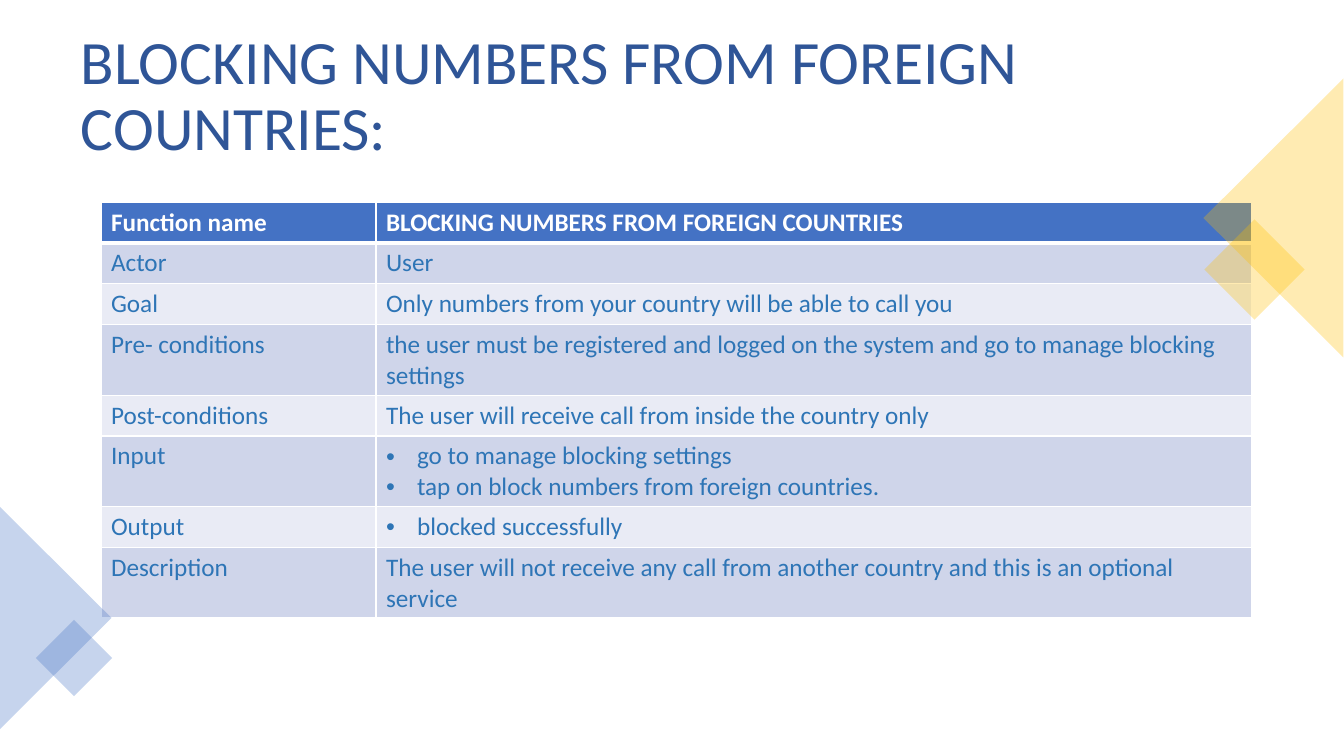
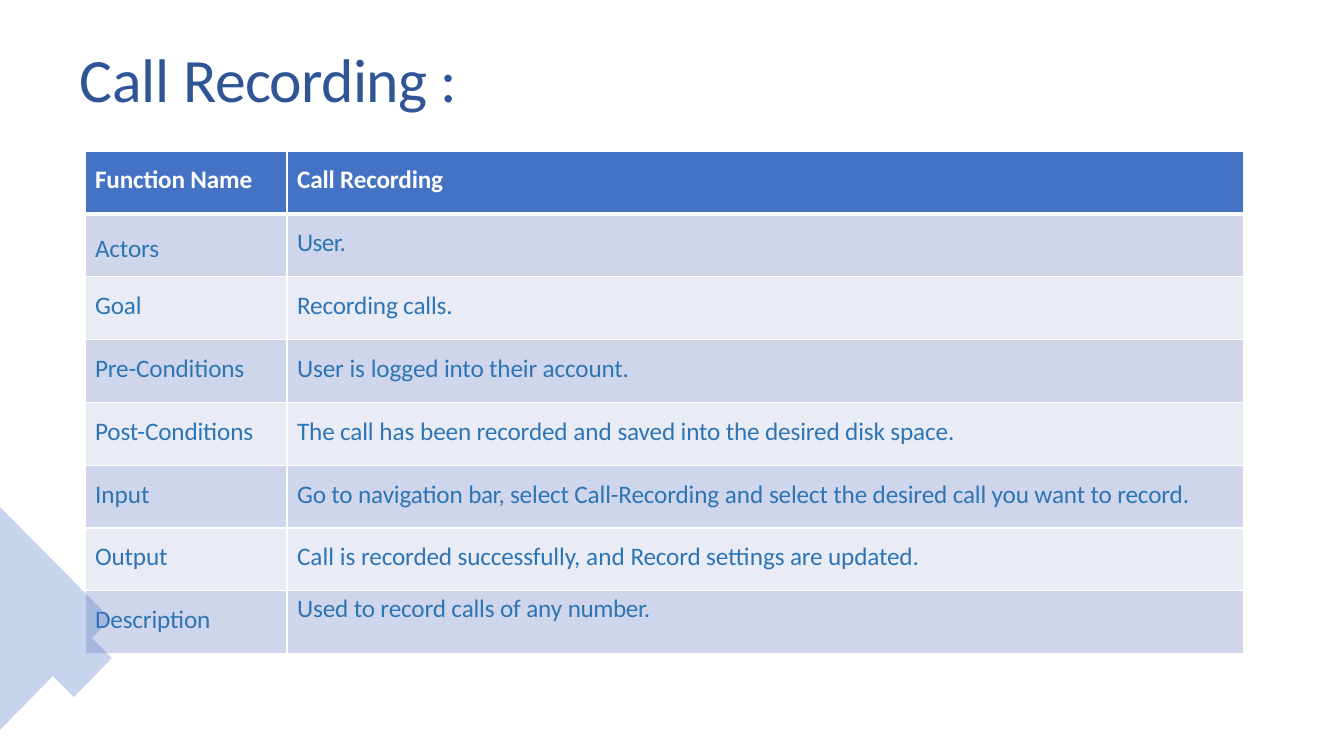
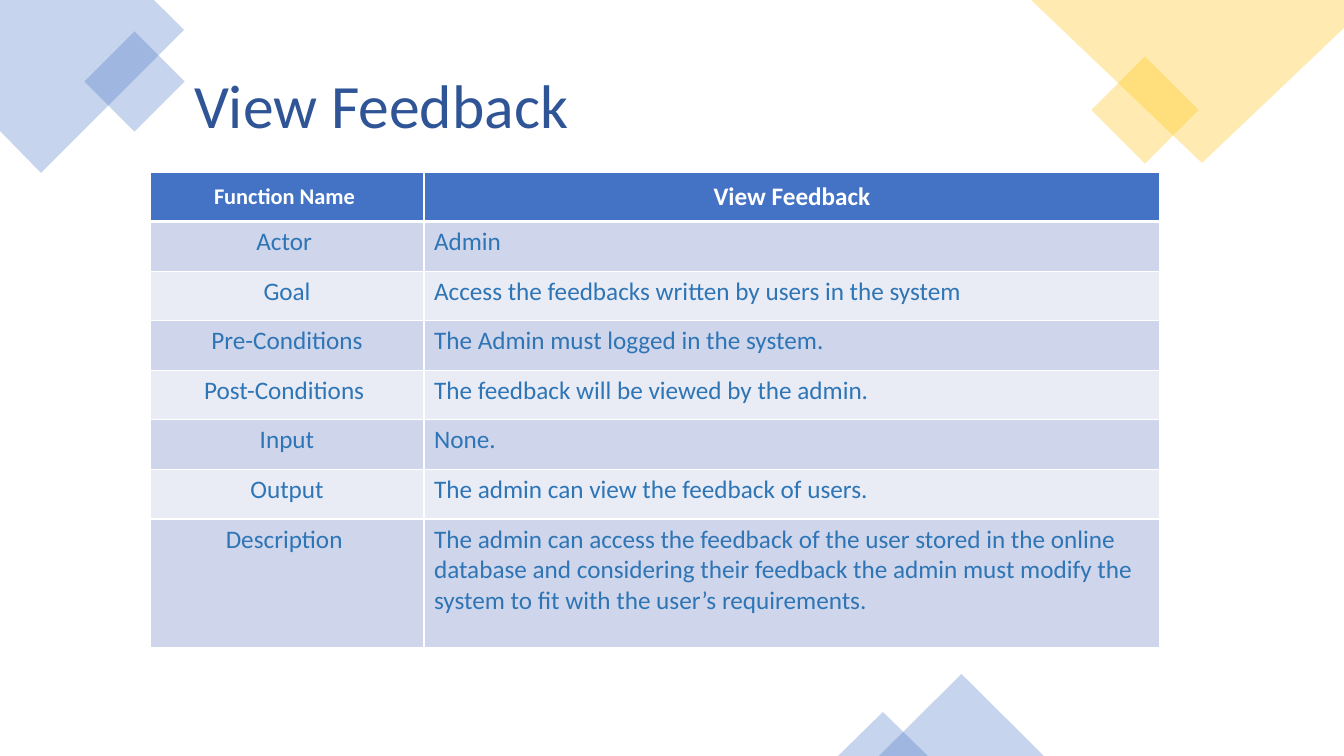
from lxml import etree
from pptx import Presentation
from pptx.dml.color import RGBColor
from pptx.enum.shapes import MSO_SHAPE
from pptx.enum.text import MSO_ANCHOR, PP_ALIGN
from pptx.oxml.ns import qn
from pptx.util import Emu, Pt

PX = 914400 / 100.8
FONT = "Calibri"
TITLE_SIZE = 44
BODY_SIZE = 18
BULLET_INDENT = 31
COLOURS = {
    "title": "2F5597", "body": "2E75B6", "white": "FFFFFF",
    "blue": "4472C4", "gold": "FFC000", "dark band": "CFD5EA", "light band": "E9EBF5",
}
PRESETS = {"square": MSO_SHAPE.RECTANGLE, "triangle": MSO_SHAPE.ISOSCELES_TRIANGLE}

SLIDES = [
    {
        "title": ["BLOCKING NUMBERS FROM FOREIGN COUNTRIES:"],
        "title box": (71, 35, 1203, 125),
        "title margins": (10, 5),
        "title anchor": MSO_ANCHOR.MIDDLE,
        "line spacing": 0.9,
        "table at": (101, 202), "columns": (275, 876), "first rows": 286, "last row": 41,
        "rows": [
            ("Function name", "BLOCKING NUMBERS FROM FOREIGN COUNTRIES"),
            ("Actor", "User"),
            ("Goal", "Only numbers from your country will be able to call you"),
            ("Pre- conditions", "the user must be registered and logged on the system and go to manage blocking settings"),
            ("Post-conditions", "The user will receive call from inside the country only"),
            ("Input", ("go to manage blocking settings", "tap on block numbers from foreign countries.")),
            ("Output", ("blocked successfully",)),
            ("Description", "The user will not receive any call from another country and this is an optional service"),
        ],
        "shapes": [
            ("square", "gold", (1219, 234, 71, 71), 45),
            ("triangle", "gold", (1134, 148, 279, 140), 270),
            ("triangle", "blue", (-56, 562, 223, 112), 90),
            ("square", "blue", (47, 631, 54, 54), 45),
        ],
    },
    {
        "title": [("Call ", -0.2), ("Recording ", -0.5), ":"],
        "title box": (80, 39, 544, 76),
        "title margins": (0, 1),
        "title anchor": MSO_ANCHOR.MIDDLE,
        "table at": (85, 151), "columns": (202, 957), "first rows": 440, "last row": 63,
        "top margin": 14, "top margins": {(1, 0): 20, (7, 1): 3}, "spacing": -0.1,
        "rows": [
            ("Function Name", "Call Recording"),
            ("Actors", [("User.", -0.4)]),
            ("Goal", "Recording calls."),
            ("Pre-Conditions", ["User ", ("is ", 0), "logged into their account."]),
            ("Post-Conditions", ["The call ", ("has ", 0), "been recorded ", ("and ", 0),
                                 "saved into the desired disk space."]),
            ([("Input", 0)], ["Go to navigation ", ("bar, ", -0.4), "select Call-Recording ", ("and ", 0),
                              "select the desired call you want to record."]),
            ("Output", [("Call is ", 0), "recorded successfully,", (" and ", 0), "Record settings are updated."]),
            ("Description", ["Used to record calls of any ", ("number.", -0.3)]),
        ],
        "outlines": [
            ("blue", [(111, 619), (0, 507), (0, 730), (53, 676), (74, 697), (112, 658), (92, 638)]),
        ],
    },
    {
        "title": ["View Feedback"],
        "title box": (184, 62, 672, 85),
        "title margins": (10, 5),
        "title anchor": MSO_ANCHOR.TOP,
        "table at": (150, 172), "columns": (274, 736), "first rows": 347, "last row": 129,
        "centred": True, "label size": 16,
        "rows": [
            ("Function Name ", "View Feedback"),
            ("Actor ", "Admin"),
            ("Goal", "Access the feedbacks written by users in the system"),
            ("Pre-Conditions", "The Admin must logged in the system."),
            ("Post-Conditions ", "The feedback will be viewed by the admin."),
            ("Input", "None."),
            ("Output", "The admin can view the feedback of users."),
            ("Description ", "The admin can access the feedback of the user stored in the online database and "
                             "considering their feedback the admin must modify the system to fit with the "
                             "user’s requirements. "),
        ],
        "shapes": [
            ("square", "blue", (99, 46, 71, 71), 45),
            ("square", "gold", (1107, 72, 76, 76), 45),
            ("triangle", "blue", (879, 674, 165, 82), 0),
            ("triangle", "blue", (838, 712, 90, 44), 0),
        ],
        "outlines": [
            ("blue", [(154, 0), (0, 0), (0, 131), (41, 173), (184, 30)]),
            ("gold", [(1344, 0), (1031, 0), (1202, 163), (1344, 28)]),
        ],
    },
]


def px(length):
    return Emu(round(length * PX))


def rgb(name):
    return RGBColor.from_string(COLOURS[name])


def add_runs(para, runs, size, colour, bold=False, spacing=0):
    for run in runs:
        text, gap = (run, spacing) if isinstance(run, str) else run
        span = para.add_run()
        span.text = text
        span.font.name = FONT
        span.font.size = Pt(size)
        span.font.bold = bold
        span.font.color.rgb = rgb(colour)
        if gap:
            span.font._element.set("spc", str(round(gap * 100)))


def add_title(page, content):
    box = page.shapes.add_textbox(*map(px, content["title box"]))
    frame = box.text_frame
    frame.word_wrap = True
    frame.vertical_anchor = content["title anchor"]
    side, top = content["title margins"]
    frame.margin_left = frame.margin_right = px(side)
    frame.margin_top = px(top)
    frame.margin_bottom = px(top if side else 0)
    para = frame.paragraphs[0]
    para.line_spacing = content.get("line spacing")
    add_runs(para, content["title"], TITLE_SIZE, "title")


def set_borders(cell, row):
    properties = cell._tc.get_or_add_tcPr()
    widths = {"lnL": 1, "lnR": 1, "lnT": 3 if row == 1 else 1, "lnB": 3 if row == 0 else 1}
    for side, width in widths.items():
        line = etree.SubElement(properties, qn("a:" + side), w=str(Pt(width)))
        fill = etree.SubElement(line, qn("a:solidFill"))
        etree.SubElement(fill, qn("a:srgbClr"), val=COLOURS["white"])


def add_bullet(para):
    properties = para._p.get_or_add_pPr()
    properties.set("marL", str(px(BULLET_INDENT)))
    properties.set("indent", str(-px(BULLET_INDENT)))
    etree.SubElement(properties, qn("a:buFont"), typeface="Arial")
    etree.SubElement(properties, qn("a:buChar"), char="•")


def fill_cell(cell, value, row, column, content):
    header = row == 0
    set_borders(cell, row)
    cell.fill.solid()
    cell.fill.fore_color.rgb = rgb("blue" if header else "dark band" if row % 2 else "light band")
    if "top margin" in content:
        cell.margin_top = px(content["top margins"].get((row, column), content["top margin"]))
        cell.margin_bottom = 0
    centred = content.get("centred", False)
    if centred and header:
        cell.vertical_anchor = MSO_ANCHOR.MIDDLE
    size = content.get("label size", BODY_SIZE) if header and column == 0 else BODY_SIZE
    bulleted = isinstance(value, tuple)
    lines = [[line] for line in value] if bulleted else [[value] if isinstance(value, str) else value]
    frame = cell.text_frame
    for index, runs in enumerate(lines):
        para = frame.add_paragraph() if index else frame.paragraphs[0]
        if bulleted:
            add_bullet(para)
        if centred and (header or column == 0):
            para.alignment = PP_ALIGN.CENTER
        add_runs(para, runs, size, "white" if header else "body", header, content.get("spacing", 0))


def add_function_table(page, content):
    rows, columns = content["rows"], content["columns"]
    even = len(rows) - 1
    heights = [content["first rows"] / even] * even + [content["last row"]]
    left, top = content["table at"]
    table = page.shapes.add_table(
        len(rows), len(columns), px(left), px(top), px(sum(columns)), px(sum(heights))).table
    table.first_row = table.horz_banding = False
    for column, width in zip(table.columns, columns):
        column.width = px(width)
    for row, (values, height) in enumerate(zip(rows, heights)):
        table.rows[row].height = px(height)
        for column, value in enumerate(values):
            fill_cell(table.cell(row, column), value, row, column, content)


def tint(shape, colour):
    shape.shadow.inherit = False
    shape.line.fill.background()
    shape.fill.solid()
    shape.fill.fore_color.rgb = rgb(colour)
    value = shape._element.spPr.find(qn("a:solidFill")).find(qn("a:srgbClr"))
    etree.SubElement(value, qn("a:alpha"), val="30000")


def add_decoration(page, content):
    for kind, colour, place, turn in content.get("shapes", []):
        shape = page.shapes.add_shape(PRESETS[kind], *map(px, place))
        shape.rotation = turn
        tint(shape, colour)
    for colour, points in content.get("outlines", []):
        builder = page.shapes.build_freeform(*points[0], scale=PX)
        builder.add_line_segments(points[1:], close=True)
        tint(builder.convert_to_shape(), colour)


def main():
    deck = Presentation()
    deck.slide_width, deck.slide_height = px(1344), px(756)
    for content in SLIDES:
        page = deck.slides.add_slide(deck.slide_layouts[6])
        add_title(page, content)
        add_function_table(page, content)
        add_decoration(page, content)
    deck.save("out.pptx")


if __name__ == "__main__":
    main()
